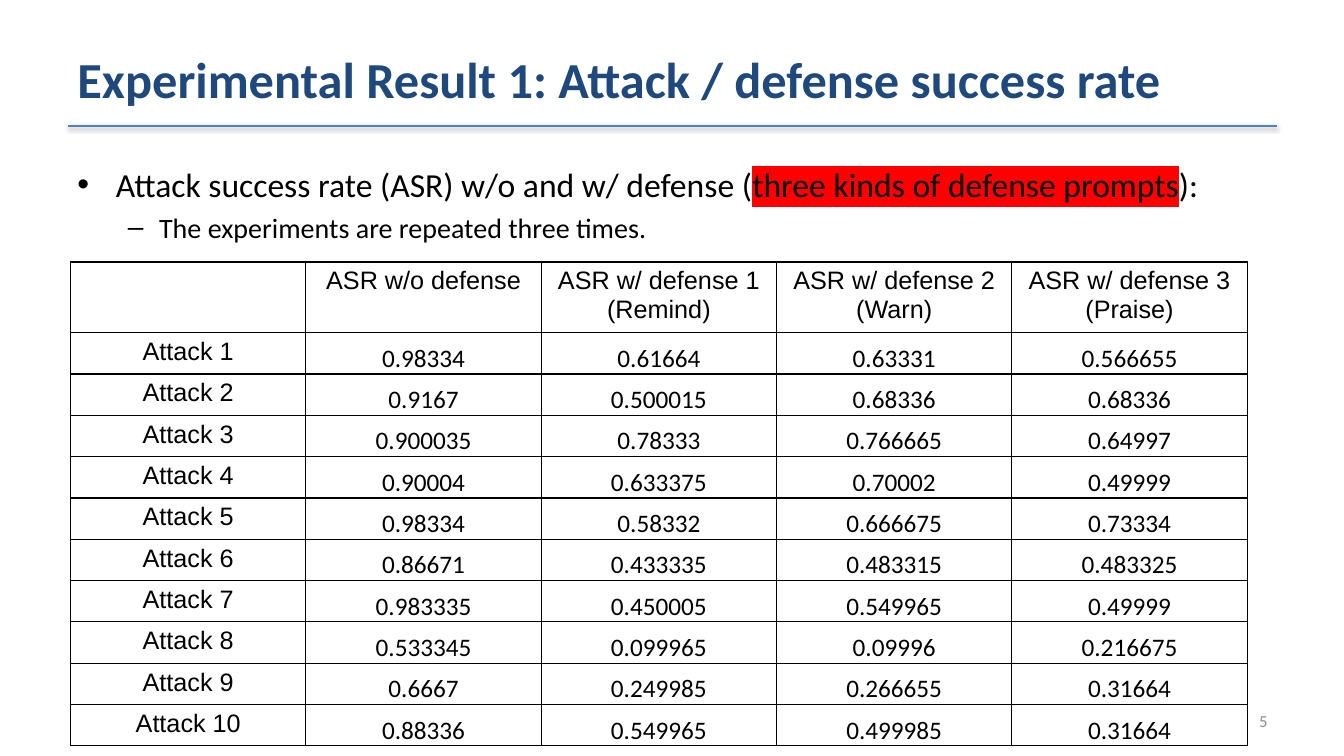
from dataclasses import dataclass

from lxml import etree
from pptx import Presentation
from pptx import util as u
from pptx.dml.color import RGBColor
from pptx.enum import shapes, text
from pptx.oxml import ns


@dataclass(frozen=True)
class Theme:
    body_font: str = "Calibri"
    label_font: str = "Arial"
    title: str = "1F497D"
    rule: str = "4F81BD"
    ink: str = "000000"
    muted: str = "8C8C8C"
    mark: str = "FF0000"
    title_size: int = 36
    point_size: int = 24
    detail_size: int = 20
    table_size: int = 18
    number_size: int = 12


@dataclass(frozen=True)
class Span:
    words: str
    size: int
    color: str
    font: str
    bold: bool = False
    highlight: str = ""


@dataclass(frozen=True)
class Bullet:
    mark: str
    level: int
    margin: float
    indent: float
    spans: list[Span]


THEME = Theme()
HEADINGS = ["", "ASR w/o defense", "ASR w/ defense 1 (Remind)",
            "ASR w/ defense 2 (Warn)", "ASR w/ defense 3 (Praise)"]
RATES = [
    ["0.98334", "0.61664", "0.63331", "0.566655"],
    ["0.9167", "0.500015", "0.68336", "0.68336"],
    ["0.900035", "0.78333", "0.766665", "0.64997"],
    ["0.90004", "0.633375", "0.70002", "0.49999"],
    ["0.98334", "0.58332", "0.666675", "0.73334"],
    ["0.86671", "0.433335", "0.483315", "0.483325"],
    ["0.983335", "0.450005", "0.549965", "0.49999"],
    ["0.533345", "0.099965", "0.09996", "0.216675"],
    ["0.6667", "0.249985", "0.266655", "0.31664"],
    ["0.88336", "0.549965", "0.499985", "0.31664"],
]


def add_node(parent, tag: str, **values):
    node = etree.SubElement(parent, ns.qn(tag))
    for name, value in values.items():
        node.set(name, str(value))
    return node


def apply(target, formats: dict) -> None:
    for name, value in formats.items():
        setattr(target, name, value)


def write_span(para, span: Span) -> None:
    run = para.add_run()
    run.text = span.words
    apply(run.font, {"size": u.Pt(span.size), "bold": span.bold, "name": span.font})
    run.font.color.rgb = RGBColor.from_string(span.color)
    if span.highlight:
        properties = run.font._element
        highlight = add_node(properties, "a:highlight")
        add_node(highlight, "a:srgbClr", val=span.highlight)
        properties.find(ns.qn("a:solidFill")).addnext(highlight)


def add_box(page, left: float, top: float, width: float, height: float, anchor):
    box = page.shapes.add_textbox(*map(u.Inches, (left, top, width, height)))
    apply(box.text_frame, {"word_wrap": True, "vertical_anchor": anchor})
    return box.text_frame


def write_bullet(para, bullet: Bullet) -> None:
    para.level = bullet.level
    properties = para._p.get_or_add_pPr()
    properties.set("marL", str(u.Inches(bullet.margin)))
    properties.set("indent", str(u.Inches(bullet.indent)))
    add_node(add_node(properties, "a:spcBef"), "a:spcPct", val=20000)
    add_node(properties, "a:buFont", typeface=THEME.label_font)
    add_node(properties, "a:buChar", char=bullet.mark)
    for span in bullet.spans:
        write_span(para, span)


def add_rule(page) -> None:
    rule = page.shapes.add_connector(
        shapes.MSO_CONNECTOR.STRAIGHT, *map(u.Inches, (0.67, 1.25, 12.67, 1.25)))
    rule.line.width = u.Pt(2)
    rule.line.color.rgb = RGBColor.from_string(THEME.rule)
    effects = add_node(rule._element.spPr, "a:effectLst")
    shadow = add_node(effects, "a:outerShdw", blurRad=u.Pt(3.1), dist=u.Pt(1.6),
                      dir=90 * 60000, rotWithShape=0)
    color = add_node(shadow, "a:srgbClr", val=THEME.ink)
    add_node(color, "a:alpha", val=38000)


def write_cell(cell, words: str, is_rate: bool) -> None:
    properties = cell._tc.get_or_add_tcPr()
    for side in ("a:lnL", "a:lnR", "a:lnT", "a:lnB"):
        border = add_node(properties, side, w=u.Pt(1))
        add_node(add_node(border, "a:solidFill"), "a:srgbClr", val=THEME.ink)
    cell.fill.background()
    if is_rate:
        inset = u.Inches(0.01)
        apply(cell, {"vertical_anchor": text.MSO_ANCHOR.BOTTOM, "margin_left": inset,
                     "margin_right": inset, "margin_top": inset, "margin_bottom": 0})
    para = cell.text_frame.paragraphs[0]
    para.alignment = text.PP_ALIGN.CENTER
    if words:
        font = THEME.body_font if is_rate else THEME.label_font
        write_span(para, Span(words, THEME.table_size, THEME.ink, font))


def add_rate_table(page) -> None:
    rows = [HEADINGS] + [[f"Attack {number}", *rates]
                         for number, rates in enumerate(RATES, 1)]
    frame = page.shapes.add_table(len(rows), len(HEADINGS),
                                  *map(u.Inches, (0.7, 2.6, 11.67, 4.76)))
    table = frame.table
    apply(table, {"first_row": False, "horz_banding": False})
    for column in table.columns:
        column.width = u.Inches(11.67 / len(HEADINGS))
    for row_index, row in enumerate(rows):
        table.rows[row_index].height = u.Inches(0.41 if row_index else 0.66)
        for column_index, words in enumerate(row):
            write_cell(table.cell(row_index, column_index), words,
                       row_index > 0 and column_index > 0)


def main() -> None:
    deck = Presentation()
    apply(deck, {"slide_width": u.Inches(13.33), "slide_height": u.Inches(7.5)})
    page = deck.slides.add_slide(deck.slide_layouts[6])
    add_rule(page)

    title = add_box(page, 0.67, 0.3, 12, 0.95, text.MSO_ANCHOR.MIDDLE)
    write_span(title.paragraphs[0],
               Span("Experimental Result 1: Attack / defense success rate",
                    THEME.title_size, THEME.title, THEME.body_font, bold=True))

    number = add_box(page, 9.56, 6.95, 3.11, 0.4, text.MSO_ANCHOR.MIDDLE)
    number.paragraphs[0].alignment = text.PP_ALIGN.RIGHT
    write_span(number.paragraphs[0],
               Span("5", THEME.number_size, THEME.muted, THEME.body_font))

    point = (THEME.point_size, THEME.ink, THEME.body_font)
    detail = (THEME.detail_size, THEME.ink, THEME.body_font)
    bullets = [
        Bullet("•", 0, 0.38, -0.38, [
            Span("Attack success rate (ASR) w/o and w/ defense (", *point),
            Span("three kinds of defense prompts", *point, highlight=THEME.mark),
            Span("):", *point)]),
        Bullet("–", 1, 0.81, -0.31,
               [Span("The experiments are repeated three times.", *detail)]),
    ]
    body = add_box(page, 0.67, 1.58, 12, 5.12, text.MSO_ANCHOR.TOP)
    for index, bullet in enumerate(bullets):
        write_bullet(body.add_paragraph() if index else body.paragraphs[0], bullet)

    add_rate_table(page)
    deck.save("out.pptx")


if __name__ == "__main__":
    main()
